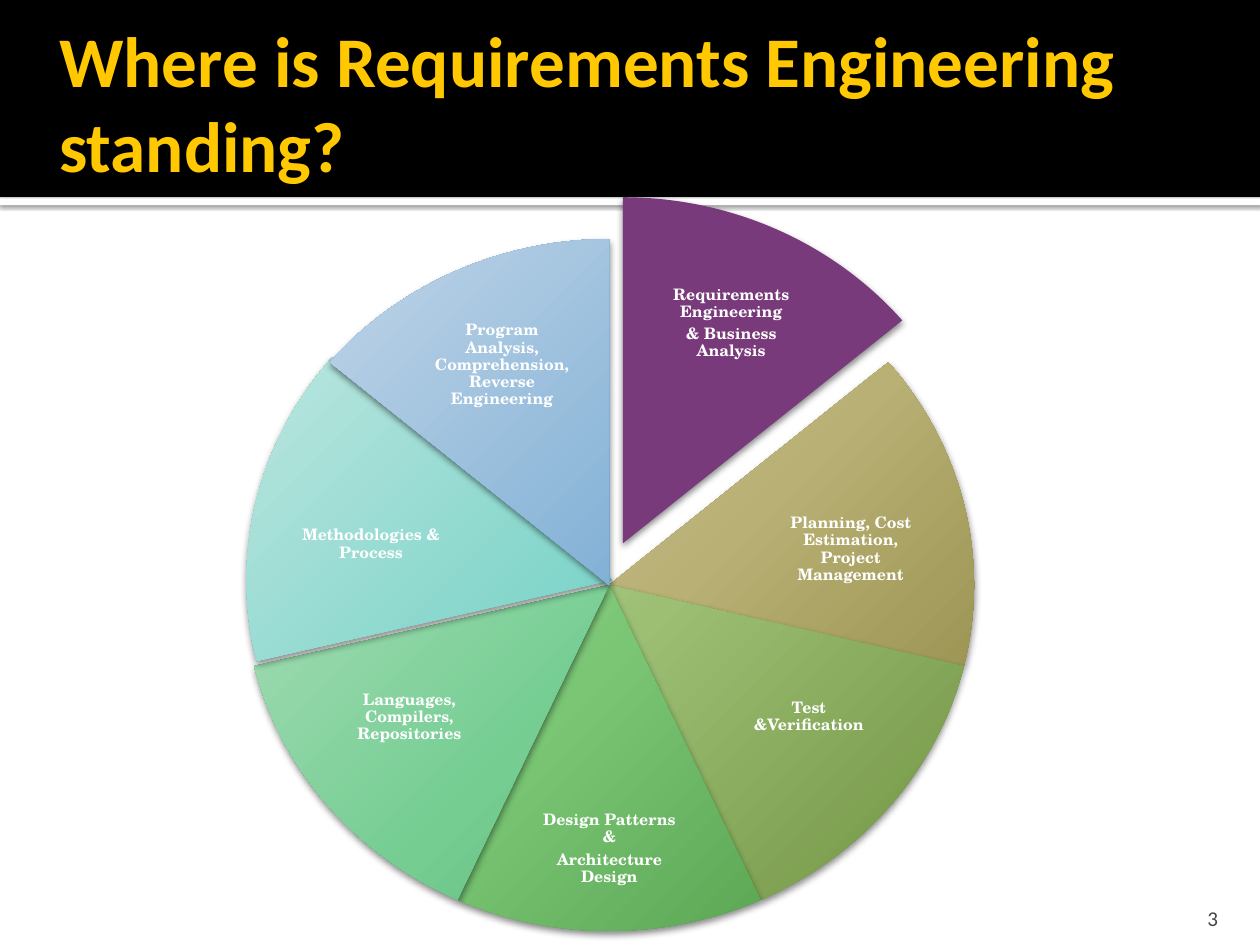
"""Build the slide that places requirements engineering in a seven-part pie."""
from dataclasses import dataclass

from lxml.etree import SubElement
from pptx import Presentation
from pptx.dml.color import RGBColor
from pptx.enum.shapes import MSO_SHAPE
from pptx.enum.text import MSO_ANCHOR, PP_ALIGN
from pptx.oxml import parse_xml
from pptx.oxml.ns import nsdecls, qn
from pptx.util import Cm, Pt


@dataclass(frozen=True)
class Theme:
    black: str = "000000"
    white: str = "FFFFFF"
    gold: str = "FFC800"
    grey: str = "454545"
    plum: str = "783A7A"
    sand: tuple = ("DEDBC6", "B8B074", "89823D")
    olive: tuple = ("D3E1C6", "9CBF74", "709140")
    green: tuple = ("C7E4C5", "7AC675", "4C9844")
    mint: tuple = ("C5E7CF", "75CD92", "48A06B")
    teal: tuple = ("C6E9E4", "77D2C6", "4EA59C")
    blue: tuple = ("C7D9EA", "7CADD4", "5688A9")
    sans: str = "Calibri"
    serif: str = "TeX Gyre Schola"
    title: float = 40.5
    label: float = 9
    number: float = 12


THEME = Theme()
WIDTH, HEIGHT = 25.3, 18.97
PIE = (14.66, 13.89)
HOME = (4.9, 4.8)
TOP = 162
STEP = 216 / 7
STOPS = (0, 55, 100)

SLICES = [
    (THEME.plum, (5.18, 3.96), (13.26, 5.64, 2.84, 1.7),
     ["Requirements Engineering", "& Business Analysis"]),
    (THEME.sand, HOME, (15.57, 10.13, 3.02, 1.8),
     ["Planning, Cost Estimation, Project Management"]),
    (THEME.olive, HOME, (14.88, 13.46, 2.72, 1.88),
     ["Test &Verification"]),
    (THEME.green, HOME, (10.85, 16.1, 2.77, 1.88),
     ["Design Patterns &", "Architecture Design"]),
    (THEME.mint, HOME, (6.86, 13.46, 2.72, 1.88),
     ["Languages, Compilers, Repositories"]),
    (THEME.teal, (4.95, 4.7), (5.94, 10.03, 3.02, 1.8),
     ["Methodologies & Process"]),
    (THEME.blue, HOME, (8.66, 6.48, 2.84, 1.7),
     ["Program Analysis, Comprehension, Reverse Engineering"]),
]


def apply(item, values):
    """Set each attribute of the item from a dict."""
    for name, value in values.items():
        setattr(item, name, value)


def add_form(shapes, kind, box, color):
    """Add a filled shape with no line and no shadow."""
    form = shapes.add_shape(kind, *map(Cm, box))
    form.shadow.inherit = False
    form.line.fill.background()
    form.fill.solid()
    form.fill.fore_color.rgb = RGBColor.from_string(color)
    return form


def add_shade(form, alpha, blur, dist):
    """Drop a black shadow straight down from the shape."""
    effects = form.element.spPr.find(qn("a:effectLst"))
    shade = SubElement(effects, qn("a:outerShdw"), blurRad=str(Pt(blur)),
                       dist=str(Pt(dist)), dir="5400000", rotWithShape="0")
    color = SubElement(shade, qn("a:srgbClr"), val=THEME.black)
    SubElement(color, qn("a:alpha"), val=str(alpha * 1000))


def add_blend(form, colors):
    """Replace the solid fill with a radial blend lit from the upper left."""
    stops = "".join(
        f'<a:gs pos="{pos * 1000}"><a:srgbClr val="{color}"/></a:gs>'
        for pos, color in zip(STOPS, colors))
    blend = parse_xml(
        f'<a:gradFill {nsdecls("a")} rotWithShape="1"><a:gsLst>{stops}</a:gsLst>'
        '<a:path path="circle"><a:fillToRect l="-40000" t="-90000" '
        'r="140000" b="190000"/></a:path></a:gradFill>')
    props = form.element.spPr
    props.replace(props.find(qn("a:solidFill")), blend)


def add_text(shapes, box, lines, font, color, frame, para):
    """Add a wrapped text box with one paragraph for each line."""
    text = shapes.add_textbox(*map(Cm, box)).text_frame
    apply(text, {"word_wrap": True, **frame})
    text.text = "\n".join(lines)
    for part in text.paragraphs:
        apply(part, para)
        apply(part.font, font)
        part.font.color.rgb = RGBColor.from_string(color)


def add_slice(shapes, index, color, spot):
    """Add one pie slice, turned by its place in the ring."""
    base = color if isinstance(color, str) else color[1]
    form = add_form(shapes, MSO_SHAPE.PIE, (*spot, *PIE), base)
    form.adjustments[0] = (TOP + index * STEP) % 216
    form.adjustments[1] = (TOP + (index + 1) * STEP) % 216
    if base != color:
        add_blend(form, color)
    add_shade(form, 45, 4, 2)


def add_label(shapes, box, lines):
    """Add the centred label of a slice."""
    sides = ("margin_left", "margin_top", "margin_right", "margin_bottom")
    add_text(shapes, box, lines,
             {"name": THEME.serif, "size": Pt(THEME.label), "bold": True},
             THEME.white,
             {"vertical_anchor": MSO_ANCHOR.MIDDLE,
              **dict.fromkeys(sides, Cm(0.03))},
             {"alignment": PP_ALIGN.CENTER, "line_spacing": 0.9,
              "space_after": Pt(3)})


def main():
    """Draw the header, the number and the pie, then save."""
    deck = Presentation()
    apply(deck, {"slide_width": Cm(WIDTH), "slide_height": Cm(HEIGHT)})
    shapes = deck.slides.add_slide(deck.slide_layouts[6]).shapes

    rule = add_form(shapes, MSO_SHAPE.RECTANGLE, (0, 3.99, WIDTH, 0.13),
                    THEME.white)
    add_shade(rule, 60, 2.5, 0.8)
    add_form(shapes, MSO_SHAPE.RECTANGLE, (0, 0, WIDTH, 3.96), THEME.black)
    add_text(shapes, (22.68, 17.93, 2.03, 0.76), ["3"],
             {"name": THEME.sans, "size": Pt(THEME.number)}, THEME.grey,
             {"vertical_anchor": MSO_ANCHOR.BOTTOM, "margin_bottom": 0},
             {"alignment": PP_ALIGN.RIGHT})
    add_text(shapes, (0.94, 0.56, 22.76, 2.95),
             ["Where is Requirements Engineering standing?"],
             {"name": THEME.sans, "size": Pt(THEME.title), "bold": True},
             THEME.gold,
             {"vertical_anchor": MSO_ANCHOR.MIDDLE, "margin_right": Cm(0.13)},
             {"alignment": PP_ALIGN.LEFT})

    ring = shapes.add_group_shape().shapes
    for index, (color, spot, box, lines) in enumerate(SLICES):
        add_slice(ring, index, color, spot)
        add_label(ring, box, lines)
    deck.save("out.pptx")


if __name__ == "__main__":
    main()
